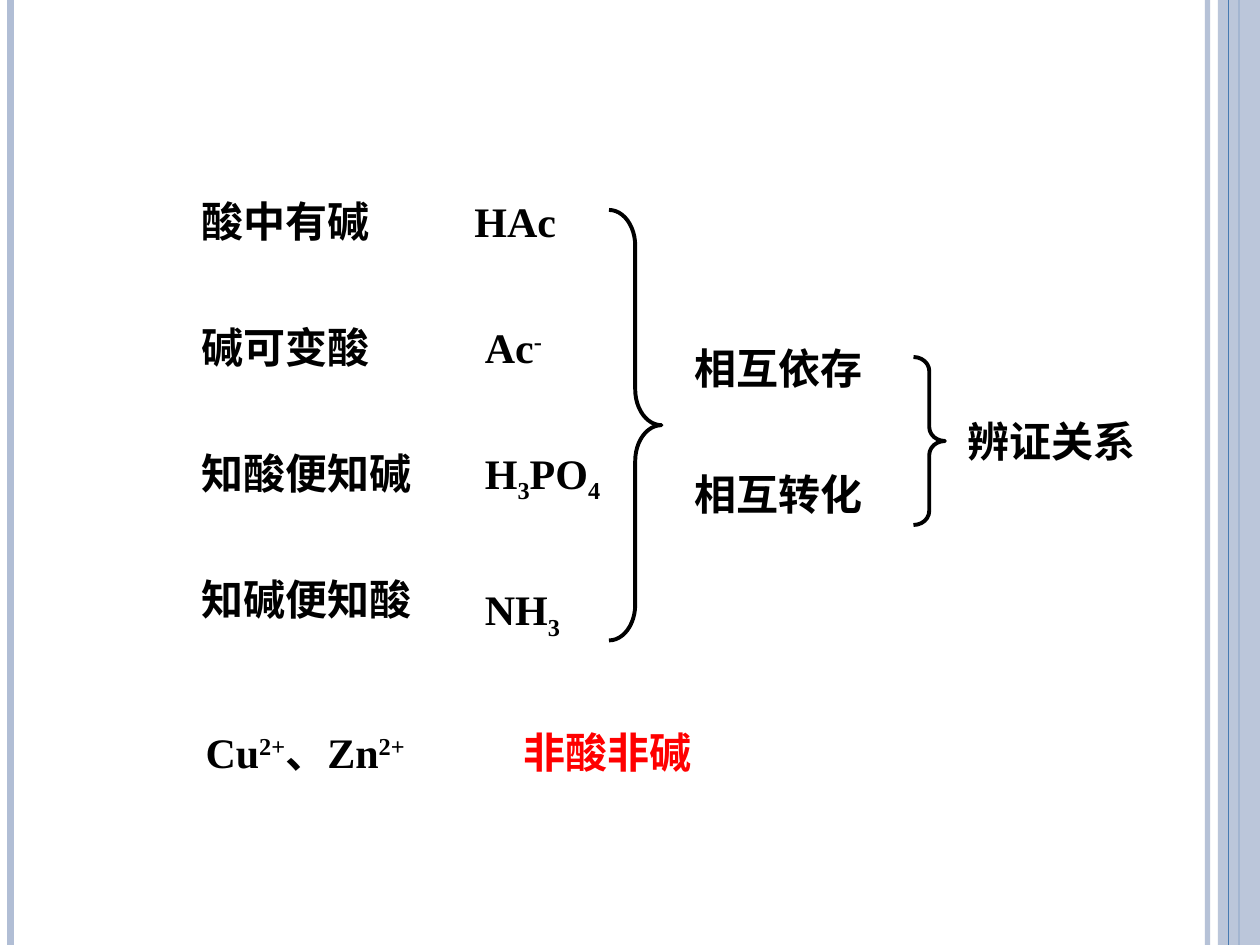
from lxml.etree import SubElement
from pptx import Presentation
from pptx.dml.color import RGBColor
from pptx.enum.shapes import MSO_CONNECTOR as Connector, MSO_SHAPE as Shape
from pptx.oxml.ns import qn
from pptx.util import Inches, Pt

COLUMNS, ROWS = 120, 90
prs = Presentation()
prs.slide_width, prs.slide_height = Inches(10), Inches(7.5)
unit = prs.slide_width / COLUMNS
slide = prs.slides.add_slide(prs.slide_layouts[6])
shapes = slide.shapes


def grid(*cells):
    """Turn grid columns and rows into lengths."""
    return [round(cell * unit) for cell in cells]


def paint(color_format, hex_color, opacity=100):
    color_format.rgb = RGBColor.from_string(hex_color)
    if opacity < 100:
        color = color_format._xFill.find(qn("a:srgbClr"))
        SubElement(color, qn("a:alpha"), val=str(opacity * 1000))


# Side stripes: column, colour, width, opacity; the band lies under the last one
stripes = [
    (115, "B1BED5", 3, 93),
    (1, "B1BED5", 4.5, 100),
    (118, "477AB1", 1.5, 100),
    (117, "477AB1", 0.75, 100),
]
for column, color, width, opacity in stripes:
    if column == 117:
        band = shapes.add_shape(Shape.RECTANGLE, *grid(116, 0, 4, ROWS))
        band.shadow.inherit = False
        band.fill.solid()
        paint(band.fill.fore_color, "B1BED5", 87)
        band.line.fill.background()
    stripe = shapes.add_connector(Connector.STRAIGHT, *grid(column, 0, column, ROWS))
    stripe.line.width = Pt(width)
    stripe.line.fill.solid()
    paint(stripe.line.color, color, opacity)
    SubElement(stripe._element.spPr, qn("a:effectLst"))

# Braces: the curls are a twelfth of the height
for column, row, width, height in [(58, 20, 5, 41), (87, 34, 3, 16)]:
    brace = shapes.add_shape(Shape.RIGHT_BRACE, *grid(column, row, width, height))
    brace.adjustments[0] = height / 12 / width
    brace.shadow.inherit = False
    brace.fill.background()
    paint(brace.line.color, "000000")
    brace.line.width = Pt(2.25)

# Column, row, width, colour, pieces of text; ^ raises a piece and _ lowers it
BLACK, RED = "000000", "FF0000"
SHIFTS = {"^": "30000", "_": "-25000"}
statements = ["酸中有碱", "碱可变酸", "知酸便知碱", "知碱便知酸"]
labels = [(18, 18 + 12 * i, 32, BLACK, [text]) for i, text in enumerate(statements)]
labels += [
    (65, 32, 25, BLACK, ["相互依存"]),
    (65, 44, 25, BLACK, ["相互转化"]),
    (91, 39, 29, BLACK, ["辨证关系"]),
    (44, 18, 14, BLACK, ["HAc"]),
    (45, 30, 15, BLACK, ["Ac", "^-"]),
    (45, 42, 23, BLACK, ["H", "_3", "PO", "_4"]),
    (45, 55, 15, BLACK, ["NH", "_3"]),
    (18.4, 68.6, 45.4, BLACK, ["Cu", "^2+", "、Zn", "^2+"]),
    (48.7, 68.6, 45.4, RED, ["非酸非碱"]),
]
for column, row, width, color, pieces in labels:
    frame = shapes.add_textbox(*grid(column, row, width, 6)).text_frame
    frame.word_wrap = True
    paragraph = frame.paragraphs[0]
    font = paragraph.font
    font.name, font.size, font.bold = "Times New Roman", Pt(24), True
    paint(font.color, color)
    for piece in pieces:
        run = paragraph.add_run()
        run.text = piece.lstrip("^_")
        if piece[0] in SHIFTS:
            run._r.get_or_add_rPr().set("baseline", SHIFTS[piece[0]])

prs.save("out.pptx")
